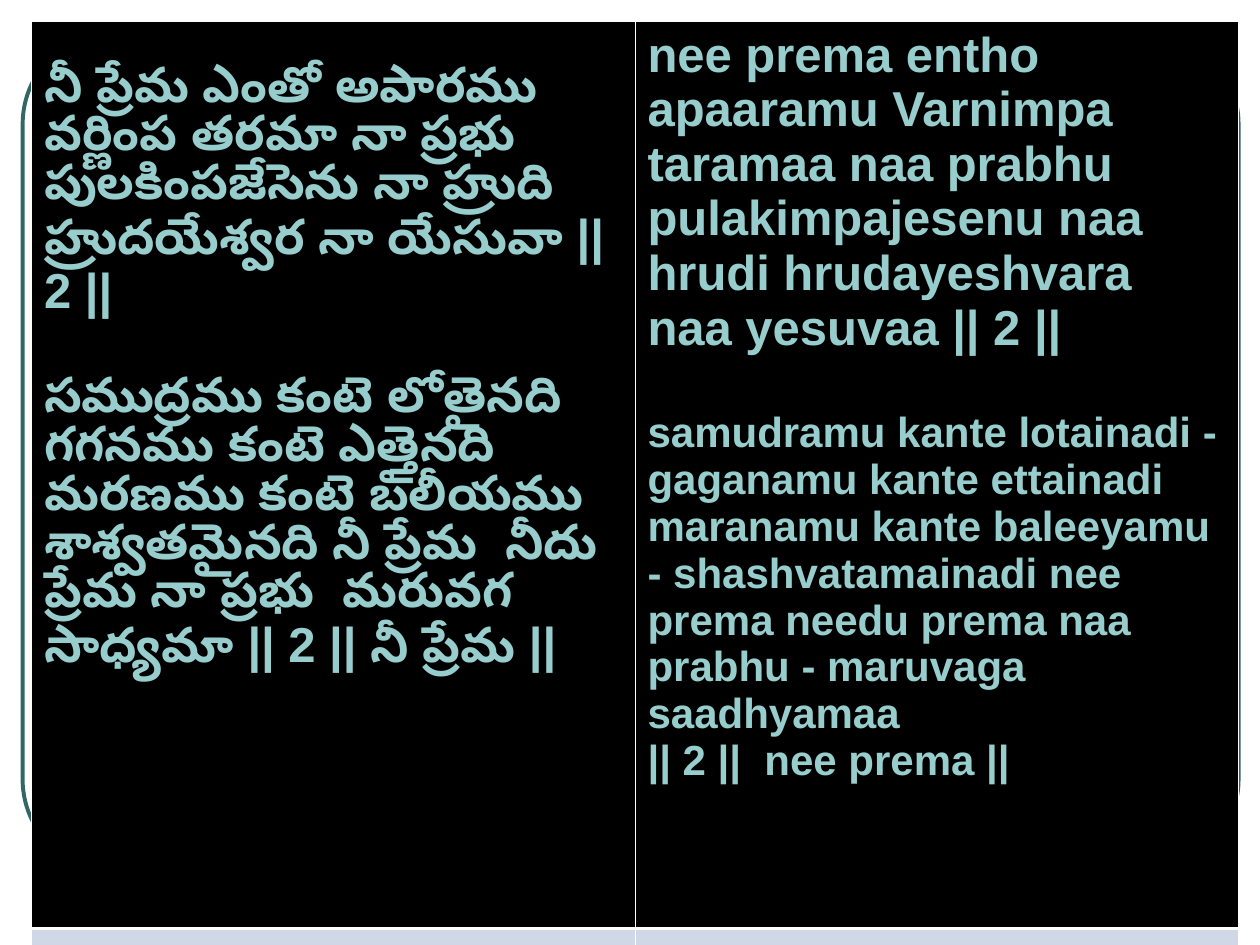
from dataclasses import dataclass

import pptx
import pptx.dml.color
import pptx.enum.shapes
import pptx.oxml.ns
import pptx.util
from lxml import etree
from pptx.util import Inches

COLORS = {
    "frame": "336666",
    "lyrics": "97CDCC",
    "panel": "000000",
    "footer": "D0D8E8",
    "border": "FFFFFF",
}
THIN_BORDER, THICK_BORDER = 0.45, 1.47
STANZA_GAP = 31


@dataclass
class Line:
    text: str
    size: float = 28
    space_before: float = 0


@dataclass
class Panel:
    lines: list[Line]
    margin_top: float = 0.05


PANELS = [
    Panel(
        [
            Line("నీ ప్రేమ ఎంతో అపారము వర్ణింప తరమా నా ప్రభు"),
            Line("పులకింపజేసెను నా హ్రుది హ్రుదయేశ్వర నా యేసువా || 2 ||"),
            Line(
                "సముద్రము కంటె లోతైనది గగనము కంటె ఎత్తైనది మరణము కంటె బలీయము "
                "శాశ్వతమైనది నీ ప్రేమ  నీదు ప్రేమ నా ప్రభు  మరువగ సాధ్యమా "
                "|| 2 || నీ ప్రేమ ||",
                space_before=STANZA_GAP,
            ),
        ],
        margin_top=0.33,
    ),
    Panel(
        [
            Line("nee prema entho apaaramu Varnimpa taramaa naa prabhu pulakimpajesenu naa"),
            Line("hrudi hrudayeshvara naa yesuvaa || 2 ||"),
            Line(
                "samudramu kante lotainadi - gaganamu kante ettainadi maranamu kante "
                "baleeyamu - shashvatamainadi nee prema needu prema naa prabhu - "
                "maruvaga saadhyamaa",
                size=24,
                space_before=STANZA_GAP,
            ),
            Line("|| 2 ||  nee prema ||", size=24),
        ]
    ),
]


def rgb(name: str) -> pptx.dml.color.RGBColor:
    return pptx.dml.color.RGBColor.from_string(COLORS[name])


def write_text(paragraph, text: str, *, size: float, color: str, bold: bool = True,
               space_before: float = 0) -> None:
    paragraph.space_before = pptx.util.Pt(space_before)
    run = paragraph.add_run()
    run.text = text
    run.font.name = "Arial"
    run.font.size = pptx.util.Pt(size)
    run.font.bold = bold
    run.font.color.rgb = rgb(color)


def set_borders(cell, *, top: float, bottom: float) -> None:
    """Draw the four cell borders; they must come before the fill in the XML."""
    properties = cell._tc.get_or_add_tcPr()
    widths = {"lnL": THIN_BORDER, "lnR": THIN_BORDER, "lnT": top, "lnB": bottom}
    for index, (side, width) in enumerate(widths.items()):
        border = etree.Element(pptx.oxml.ns.qn(f"a:{side}"), w=str(pptx.util.Pt(width)))
        fill = etree.SubElement(border, pptx.oxml.ns.qn("a:solidFill"))
        etree.SubElement(fill, pptx.oxml.ns.qn("a:srgbClr"), val=COLORS["border"])
        properties.insert(index, border)


def fill_cell(cell, color: str) -> None:
    cell.fill.solid()
    cell.fill.fore_color.rgb = rgb(color)


def add_frame(slide) -> None:
    frame = slide.shapes.add_shape(
        pptx.enum.shapes.MSO_SHAPE.ROUNDED_RECTANGLE,
        Inches(0.18), Inches(0.25), Inches(9.65), Inches(6.67),
    )
    frame.adjustments[0] = 0.11
    frame.shadow.inherit = False
    frame.fill.background()
    frame.line.color.rgb = rgb("frame")
    frame.line.width = pptx.util.Pt(2.25)


def add_lyrics_table(slide, panels: list[Panel]) -> None:
    table = slide.shapes.add_table(
        2, len(panels), Inches(0.25), Inches(0.17), Inches(9.58), Inches(7.58)
    ).table
    table.first_row = False
    table.horz_banding = False
    table.rows[0].height = Inches(7.2)
    table.rows[1].height = Inches(0.38)

    for column, panel in enumerate(panels):
        table.columns[column].width = Inches(4.79)
        cell = table.cell(0, column)
        cell.margin_top = Inches(panel.margin_top)
        fill_cell(cell, "panel")
        set_borders(cell, top=THIN_BORDER, bottom=THICK_BORDER)
        text_frame = cell.text_frame
        for index, line in enumerate(panel.lines):
            paragraph = text_frame.add_paragraph() if index else text_frame.paragraphs[0]
            write_text(paragraph, line.text, size=line.size, color="lyrics",
                       space_before=line.space_before)

        footer = table.cell(1, column)
        fill_cell(footer, "footer")
        set_borders(footer, top=THICK_BORDER, bottom=THIN_BORDER)


def main() -> None:
    presentation = pptx.Presentation()
    presentation.slide_width = Inches(10)
    presentation.slide_height = Inches(7.5)
    slide = presentation.slides.add_slide(presentation.slide_layouts[6])
    add_frame(slide)
    add_lyrics_table(slide, PANELS)
    presentation.save("out.pptx")


if __name__ == "__main__":
    main()
